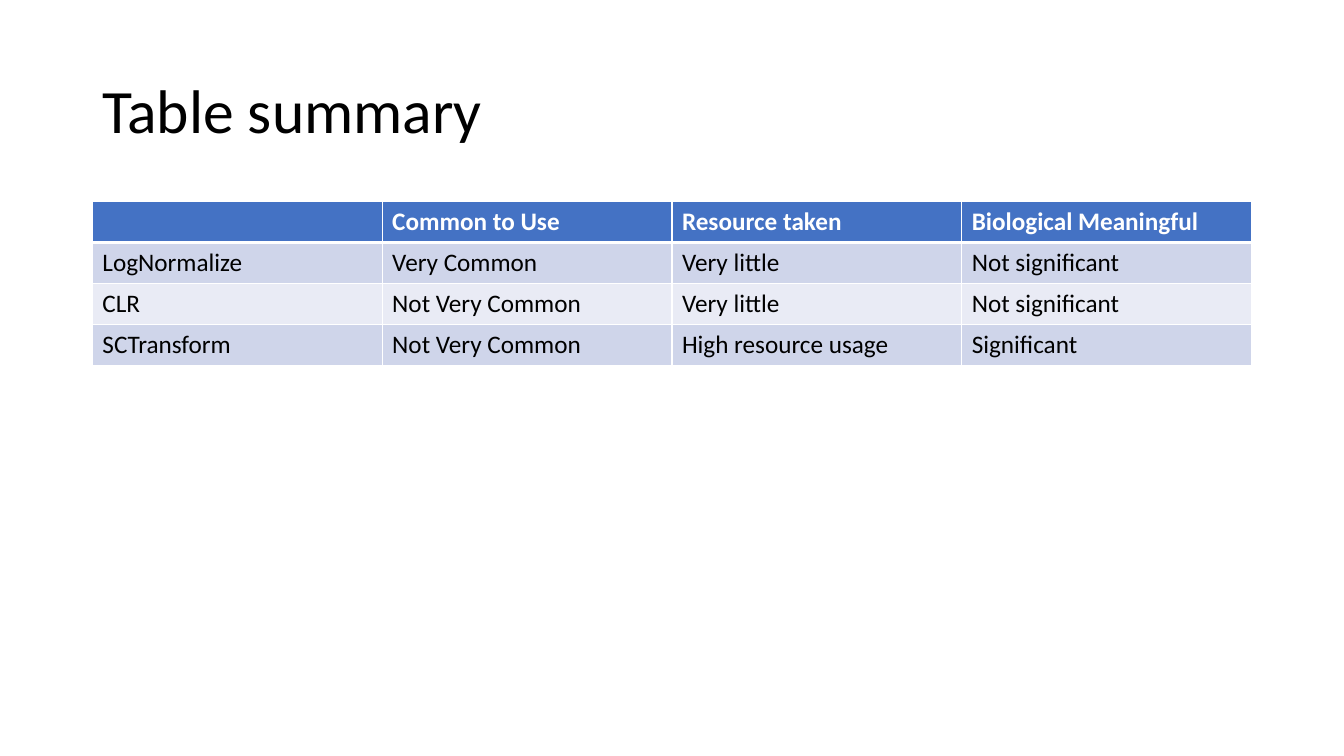
"""Build a slide with a title and a table comparing normalization methods."""
from lxml.etree import SubElement
from pptx import Presentation
from pptx.dml.color import RGBColor
from pptx.enum.text import MSO_ANCHOR as Anchor
from pptx.oxml.ns import qn
from pptx.util import Pt

WHITE = RGBColor(0xFF, 0xFF, 0xFF)
BLACK = RGBColor(0x00, 0x00, 0x00)
HEADER_BLUE = RGBColor(0x44, 0x72, 0xC4)
BAND_DARK = RGBColor(0xCF, 0xD5, 0xEA)
BAND_LIGHT = RGBColor(0xE9, 0xEB, 0xF5)

LEFT, WIDTH = 66, 828
ROW_HEIGHT = 29.2
METHOD_ROWS = [
    ["", "Common to Use", "Resource taken", "Biological Meaningful"],
    ["LogNormalize", "Very Common", "Very little", "Not significant"],
    ["CLR", "Not Very Common", "Very little", "Not significant"],
    ["SCTransform", "Not Very Common", "High resource usage", "Significant"],
]


class SlideBuilder:
    def __init__(self, slide, font_name):
        self.slide = slide
        self.font_name = font_name

    def set_text(self, paragraph, text, size, color, bold=False):
        paragraph.text = text
        formats = {"name": self.font_name, "size": Pt(size), "bold": bold}
        for font in [paragraph.font] + [run.font for run in paragraph.runs]:
            for name, value in formats.items():
                setattr(font, name, value)
            font.color.rgb = color

    def title(self, text, left, top, width, height):
        shape = self.slide.shapes.add_textbox(Pt(left), Pt(top), Pt(width), Pt(height))
        frame = shape.text_frame
        for name, value in {"word_wrap": True, "vertical_anchor": Anchor.MIDDLE}.items():
            setattr(frame, name, value)
        paragraph = frame.paragraphs[0]
        paragraph.line_spacing = 0.9
        self.set_text(paragraph, text, 44, BLACK)

    def borders(self, cell, widths):
        properties = cell._tc.get_or_add_tcPr()
        for side, width in widths.items():
            line = SubElement(properties, qn(f"a:ln{side}"), w=str(Pt(width)))
            fill = SubElement(line, qn("a:solidFill"))
            SubElement(fill, qn("a:srgbClr"), val=str(WHITE))

    def table(self, rows, left, top, width, row_height):
        shape = self.slide.shapes.add_table(
            len(rows), len(rows[0]), Pt(left), Pt(top), Pt(width), Pt(row_height * len(rows)))
        table = shape.table
        for row_index, texts in enumerate(rows):
            table.rows[row_index].height = Pt(row_height)
            header = row_index == 0
            band = BAND_DARK if row_index % 2 else BAND_LIGHT
            widths = {"L": 1, "R": 1, "T": 3 if row_index == 1 else 1, "B": 3 if header else 1}
            for column_index, text in enumerate(texts):
                cell = table.cell(row_index, column_index)
                self.borders(cell, widths)
                cell.fill.solid()
                cell.fill.fore_color.rgb = HEADER_BLUE if header else band
                paragraph = cell.text_frame.paragraphs[0]
                self.set_text(paragraph, text, 18, WHITE if header else BLACK, header)


def main():
    presentation = Presentation()
    presentation.slide_width, presentation.slide_height = Pt(960), Pt(540)
    slide = presentation.slides.add_slide(presentation.slide_layouts[6])
    builder = SlideBuilder(slide, "Calibri")
    builder.title("Table summary", LEFT, 28.8, WIDTH, 104.4)
    builder.table(METHOD_ROWS, LEFT, 144, WIDTH, ROW_HEIGHT)
    presentation.save("out.pptx")


if __name__ == "__main__":
    main()
